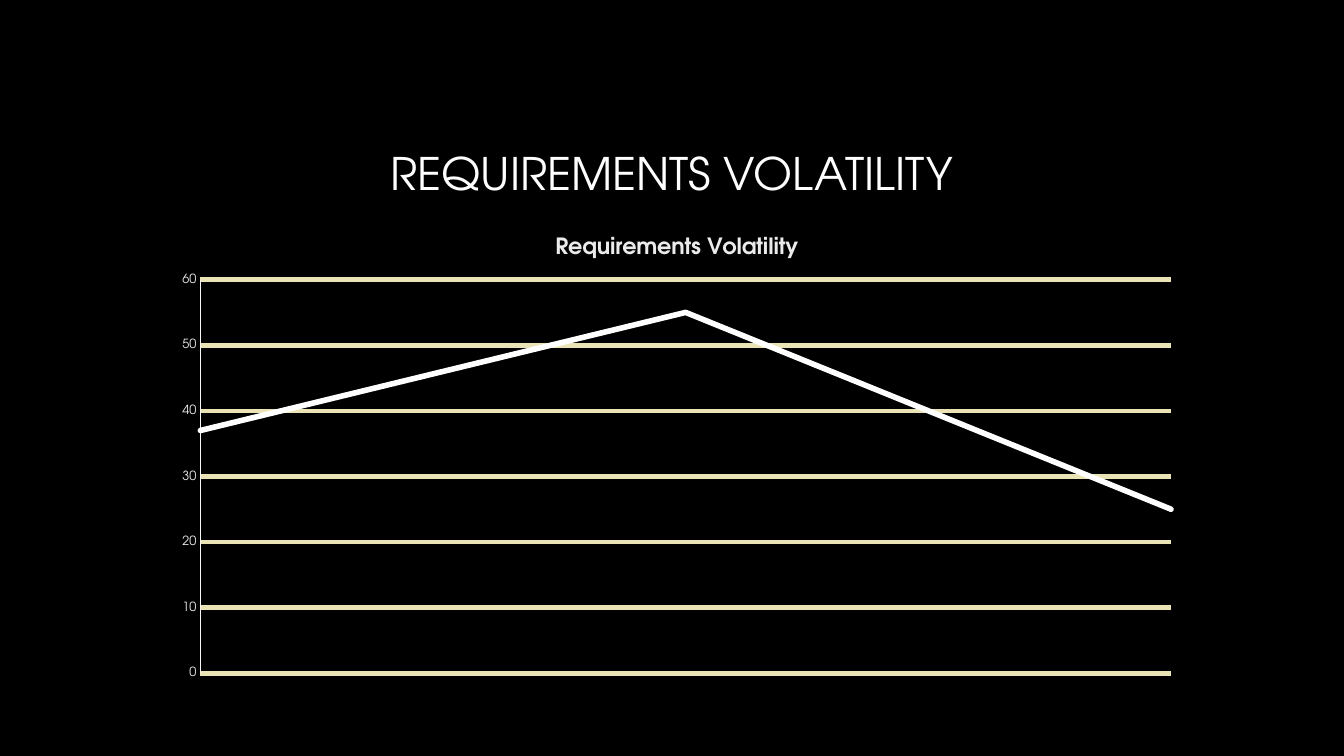
import pptx
import pptx.chart.data
import pptx.dml.color
import pptx.enum.chart
import pptx.enum.text
import pptx.oxml
import pptx.oxml.ns
import pptx.util

FONT = "TeX Gyre Adventor"
WIDTH, HEIGHT = 13.33, 7.5
VOLATILITY = [None, 37, 55, 25]


def color(value):
    return pptx.dml.color.RGBColor.from_string(value)


def style_font(font, size, value, bold=False):
    font.name = FONT
    font.size = pptx.util.Pt(size)
    font.bold = bold
    font.color.rgb = color(value)


def style_line(line, width, value):
    line.width = pptx.util.Pt(width)
    line.color.rgb = color(value)


def add_run(tf, text, size, value, bold=False):
    p = tf.paragraphs[0]
    p.alignment = pptx.enum.text.PP_ALIGN.CENTER
    r = p.add_run()
    r.text = text
    style_font(r.font, size, value, bold)


def place_title(s, text, left, top, width, height):
    sp = s.shapes.title
    sp.left, sp.top, sp.width, sp.height = map(
        pptx.util.Inches, (left, top, width, height))
    sp.text_frame.vertical_anchor = pptx.enum.text.MSO_ANCHOR.MIDDLE
    add_run(sp.text_frame, text, 32, "FFFFFF")


def set_plot_layout(chart, **shares):
    plot_area = chart._chartSpace.chart.plotArea
    for old in plot_area.findall(pptx.oxml.ns.qn("c:layout")):
        plot_area.remove(old)
    modes = "".join(f'<c:{axis}Mode val="edge"/>' for axis in "xy")
    sizes = "".join(f'<c:{k} val="{v}"/>' for k, v in shares.items())
    plot_area.insert(0, pptx.oxml.parse_xml(
        f'<c:layout {pptx.oxml.ns.nsdecls("c")}><c:manualLayout>'
        f'<c:layoutTarget val="inner"/>{modes}{sizes}'
        '</c:manualLayout></c:layout>'))


def style_axes(chart):
    x_axis, y_axis = chart.category_axis, chart.value_axis
    x_axis.minimum_scale, x_axis.maximum_scale = 2, 4
    x_axis.has_major_gridlines = False
    x_axis.visible = False
    y_axis.minimum_scale, y_axis.maximum_scale = 0, 60
    y_axis.major_unit = 10
    y_axis.major_tick_mark = pptx.enum.chart.XL_TICK_MARK.NONE
    y_axis.minor_tick_mark = pptx.enum.chart.XL_TICK_MARK.NONE
    y_axis.has_major_gridlines = True
    style_line(y_axis.major_gridlines.format.line, 3.25, "EAE3B5")
    style_line(y_axis.format.line, 0.75, "F7F7F7")
    style_font(y_axis.tick_labels.font, 9, "EBEBEB")


def use_point_order(series, values):
    ser = series._element
    ser.remove(ser.find(pptx.oxml.ns.qn("c:xVal")))
    y_values = ser.find(pptx.oxml.ns.qn("c:yVal"))
    for pt in list(y_values.iter(pptx.oxml.ns.qn("c:pt"))):
        if values[int(pt.get("idx"))] is None:
            pt.getparent().remove(pt)


def add_line_chart(s, title, values, left, top, width, height):
    data = pptx.chart.data.XyChartData()
    series_data = data.add_series("Series 1")
    for x, y in enumerate(values, 1):
        series_data.add_data_point(x, y)
    chart = s.shapes.add_chart(
        pptx.enum.chart.XL_CHART_TYPE.XY_SCATTER_LINES_NO_MARKERS,
        *map(pptx.util.Inches, (left, top, width, height)), data).chart
    style_font(chart.font, 10, "FFFFFF")
    chart.has_legend = False
    chart.has_title = True
    add_run(chart.chart_title.text_frame, title, 16, "EBEBEB", True)
    chart.chart_title.include_in_layout = False
    chart.plots[0].vary_by_categories = False
    style_axes(chart)
    series = chart.plots[0].series[0]
    series.smooth = False
    series.marker.style = pptx.enum.chart.XL_MARKER_STYLE.NONE
    style_line(series.format.line, 4, "FFFFFF")
    series.format.line._get_or_add_ln().set("cap", "rnd")
    use_point_order(series, values)
    set_plot_layout(chart, x=0.037, y=0.135, w=0.943, h=0.831)


def main():
    prs = pptx.Presentation()
    prs.slide_width = pptx.util.Inches(WIDTH)
    prs.slide_height = pptx.util.Inches(HEIGHT)
    s = prs.slides.add_slide(prs.slide_layouts[5])
    s.background.fill.solid()
    s.background.fill.fore_color.rgb = color("000000")
    place_title(s, "REQUIREMENTS VOLATILITY", 1.25, 0.67, 10.83, 2.08)
    add_line_chart(s, "Requirements Volatility", VOLATILITY,
                   1.61, 2.14, 10.21, 4.7)
    prs.save("out.pptx")


if __name__ == "__main__":
    main()
